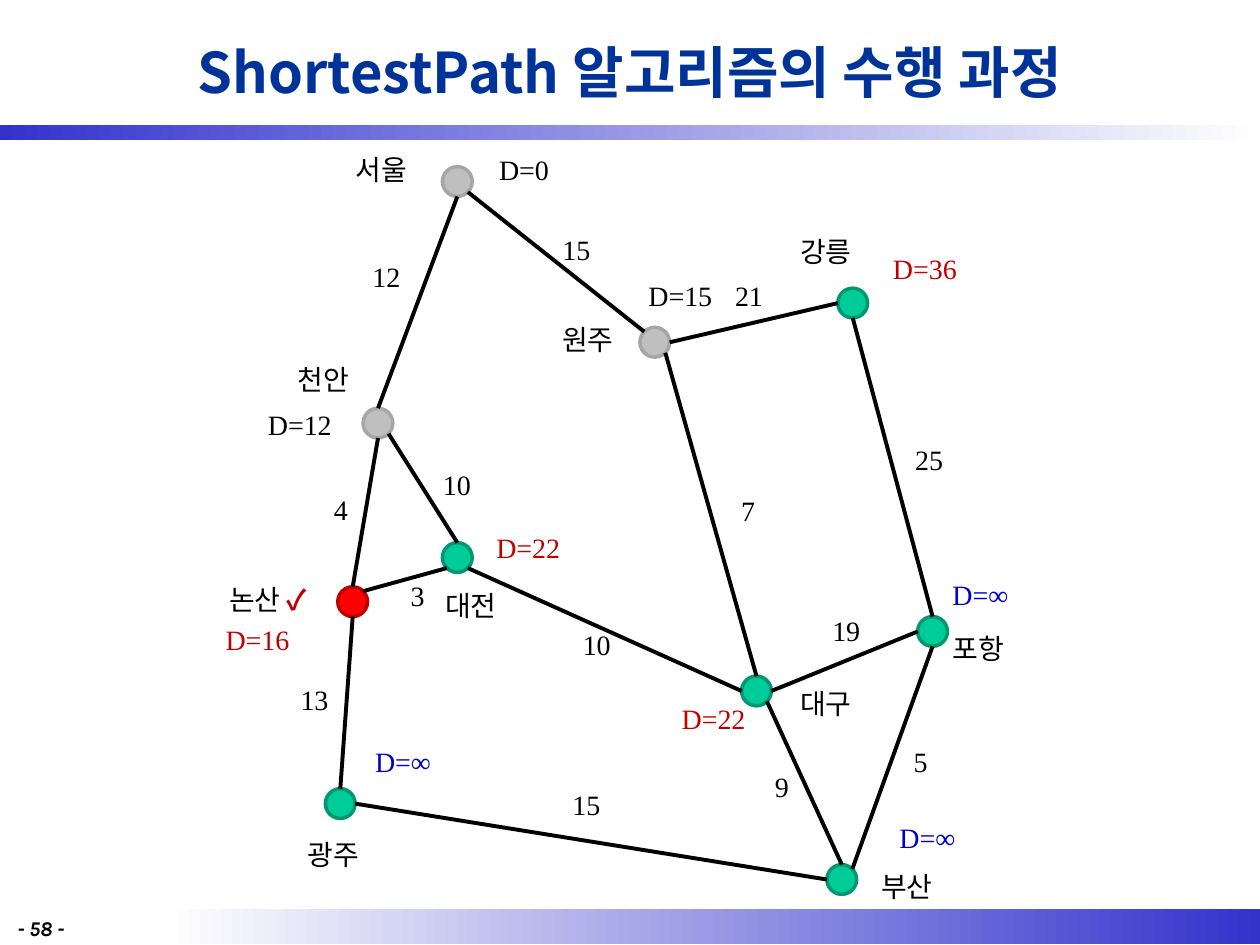
from math import sqrt

from lxml.etree import SubElement
from pptx import Presentation
from pptx.dml.color import RGBColor
from pptx.enum.shapes import MSO_CONNECTOR as Connector, MSO_SHAPE as Shape
from pptx.enum.text import MSO_ANCHOR as Anchor, MSO_AUTO_SIZE as AutoSize, PP_ALIGN as Align
from pptx.oxml.ns import qn
from pptx.util import Cm, Pt

BLACK = RGBColor(0x00, 0x00, 0x00)
WHITE = RGBColor(0xFF, 0xFF, 0xFF)
NAVY = RGBColor(0x00, 0x33, 0x99)
BAR_BLUE = RGBColor(0x33, 0x33, 0xCC)
BLUE = RGBColor(0x00, 0x00, 0xCC)
DARK_RED = RGBColor(0xC0, 0x00, 0x00)
RED = RGBColor(0xFF, 0x00, 0x00)
GREEN = RGBColor(0x00, 0xCC, 0x99)
DARK_GREEN = RGBColor(0x00, 0x97, 0x71)
GRAY = RGBColor(0xBF, 0xBF, 0xBF)
DARK_GRAY = RGBColor(0xA6, 0xA6, 0xA6)

# Fill and outline of a city by its state in the algorithm
DONE = (GRAY, DARK_GRAY)
CURRENT = (RED, DARK_RED)
WAITING = (GREEN, DARK_GREEN)


def write(para, text, font="Times New Roman", size=16, color=BLACK,
          bold=False, italic=False, align=Align.CENTER):
    para.alignment = align
    span = para.add_run()
    span.text = text
    span.font.name = font
    span.font.size = Pt(size)
    span.font.color.rgb = color
    span.font.bold = bold
    span.font.italic = italic


def add_label(page, text, left, top, width, height=0.94, **style):
    box = page.shapes.add_textbox(Cm(left), Cm(top), Cm(width), Cm(height))
    box.text_frame.word_wrap = True
    box.text_frame.auto_size = AutoSize.SHAPE_TO_FIT_TEXT
    para = box.text_frame.paragraphs[0]
    write(para, text, **style)
    return para


deck = Presentation()
deck.slide_width, deck.slide_height = Cm(25.4), Cm(19.05)
page = deck.slides.add_slide(deck.slide_layouts[5])

# Gradient bars under the title and at the foot
for left, top, width, height, colors in [
    (3.38, 18.32, 22.02, 0.72, (WHITE, BAR_BLUE)),
    (0, 2.52, 25.4, 0.3, (BAR_BLUE, WHITE)),
]:
    bar = page.shapes.add_shape(Shape.RECTANGLE, Cm(left), Cm(top), Cm(width), Cm(height))
    bar.shadow.inherit = False
    bar.line.fill.background()
    bar.fill.gradient()
    bar.fill.gradient_angle = 0
    for stop, color in zip(bar.fill.gradient_stops, colors):
        stop.color.rgb = color

# Title and page number
title = page.shapes.title
title.left, title.top, title.width, title.height = Cm(1.9), Cm(0.13), Cm(21.6), Cm(2.62)
title.text_frame.vertical_anchor = Anchor.MIDDLE
write(title.text_frame.paragraphs[0], "ShortestPath 알고리즘의 수행 과정",
      font="Noto Sans CJK KR", size=32, color=NAVY, bold=True)
add_label(page, "- 58 -", 0.1, 18.34, 1.8, 0.61, font="Karla", size=12,
          bold=True, italic=True, align=Align.LEFT)

# Cities: centre of the node, state, left and top of the name
cities = {
    "서울": (9.22, 3.66, DONE, 6.69, 2.95),
    "천안": (7.62, 8.53, DONE, 5.52, 7.19),
    "원주": (13.2, 6.9, DONE, 10.85, 6.38),
    "강릉": (17.19, 6.11, WAITING, 15.65, 4.6),
    "논산": (7.11, 12.13, CURRENT, 4.15, 11.61),
    "대전": (9.22, 11.24, WAITING, 8.49, 11.73),
    "광주": (6.86, 16.2, WAITING, 5.72, 16.76),
    "대구": (15.25, 13.93, WAITING, 15.65, 13.72),
    "포항": (18.8, 12.73, WAITING, 18.73, 12.6),
    "부산": (16.97, 17.73, WAITING, 17.28, 17.4),
}
RADIUS = 0.3
for x, y, (fill, outline), _, _ in cities.values():
    node = page.shapes.add_shape(Shape.OVAL, Cm(x - RADIUS), Cm(y - RADIUS),
                                 Cm(2 * RADIUS), Cm(2 * RADIUS))
    node.shadow.inherit = False
    node.fill.solid()
    node.fill.fore_color.rgb = fill
    node.line.color.rgb = outline
    node.line.width = Pt(2)

# Roads run between compass points on the rims of the nodes
diagonal = 1 / sqrt(2)
compass = {
    "N": (0, -1), "S": (0, 1), "W": (-1, 0), "E": (1, 0),
    "NW": (-diagonal, -diagonal), "NE": (diagonal, -diagonal),
    "SW": (-diagonal, diagonal), "SE": (diagonal, diagonal),
}
# Each road: two ends, weight, left and top of the weight
roads = [
    ("서울", "S", "천안", "N", 12, 7.04, 5.11),
    ("원주", "NW", "서울", "SE", 15, 10.87, 4.57),
    ("강릉", "W", "원주", "E", 21, 14.35, 5.49),
    ("포항", "N", "강릉", "S", 25, 17.98, 8.79),
    ("대구", "N", "원주", "SE", 7, 14.33, 9.83),
    ("대전", "N", "천안", "SE", 10, 8.46, 9.3),
    ("논산", "N", "천안", "S", 4, 6.12, 9.8),
    ("대전", "SW", "논산", "NE", 3, 7.67, 11.53),
    ("대구", "W", "대전", "SE", 10, 11.28, 12.52),
    ("포항", "W", "대구", "E", 19, 16.31, 12.24),
    ("광주", "N", "논산", "S", 13, 5.59, 13.64),
    ("부산", "W", "광주", "E", 15, 11.07, 15.75),
    ("부산", "N", "대구", "SE", 9, 15.01, 15.39),
    ("부산", "NE", "포항", "S", 5, 17.81, 14.88),
]
for start, start_side, end, end_side, weight, left, top in roads:
    ends = []
    for city, side in ((start, start_side), (end, end_side)):
        for centre, step in zip(cities[city], compass[side]):
            ends.append(Cm(centre + RADIUS * step))
    road = page.shapes.add_connector(Connector.STRAIGHT, *ends)
    road.line.color.rgb = BLACK
    road.line.width = Pt(2.25)
    SubElement(road._element.spPr, qn("a:effectLst"))
    add_label(page, str(weight), left, top, 1.5)

# City names, with a check mark at the current city
for name, (_, _, state, left, top) in cities.items():
    if state is CURRENT:
        para = add_label(page, name + " ", left, top, 2.51)
        write(para, "✓", color=DARK_RED, bold=True)
    else:
        add_label(page, name, left, top, 2.0)

# Distances found so far
for value, left, top, width, color in [
    ("0", 9.6, 2.95, 1.93, BLACK),
    ("12", 5.08, 8.1, 1.93, BLACK),
    ("15", 12.75, 5.49, 1.93, BLACK),
    ("36", 17.5, 4.95, 2.29, DARK_RED),
    ("22", 9.6, 10.57, 2.1, DARK_RED),
    ("16", 3.3, 12.42, 3.78, DARK_RED),
    ("22", 12.57, 14.02, 3.63, DARK_RED),
    ("∞", 7.16, 14.88, 1.93, BLUE),
    ("∞", 18.8, 11.51, 1.93, BLUE),
    ("∞", 17.73, 16.41, 1.93, BLUE),
]:
    add_label(page, f"D={value}", left, top, width, color=color)

deck.save("out.pptx")
